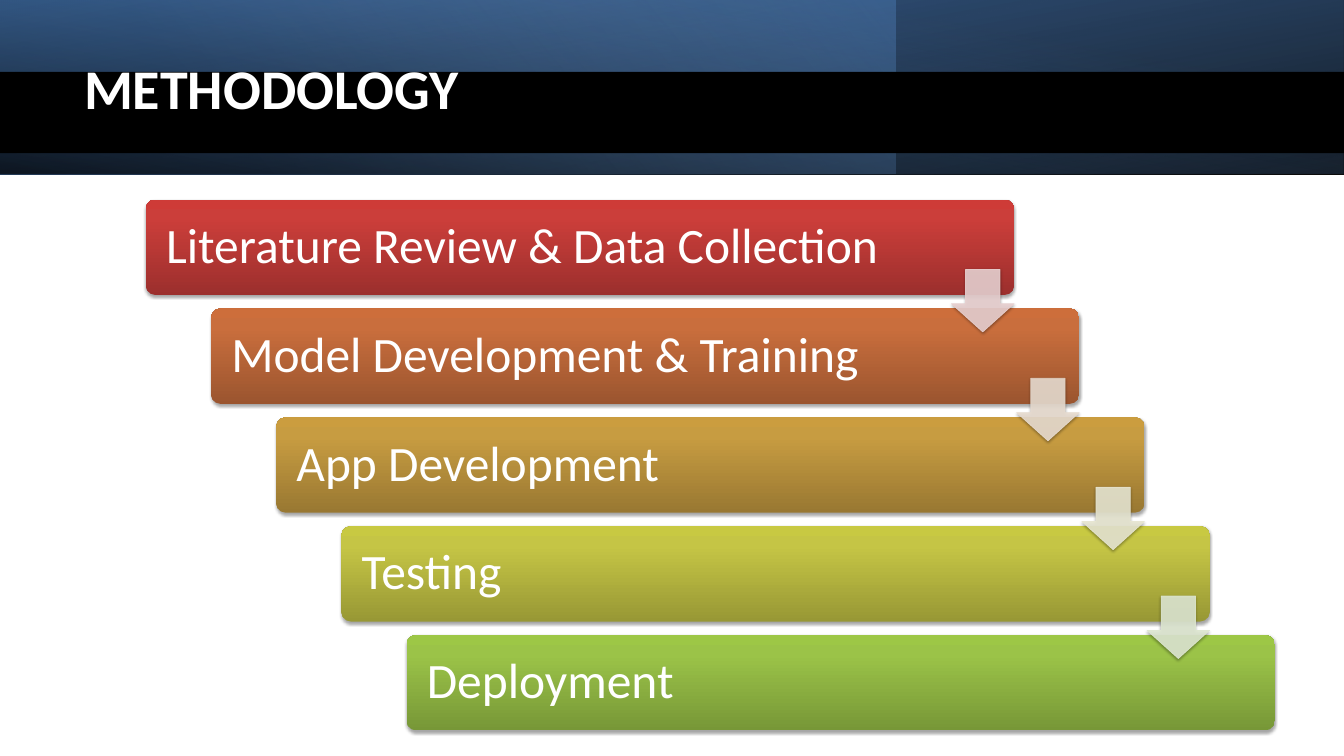
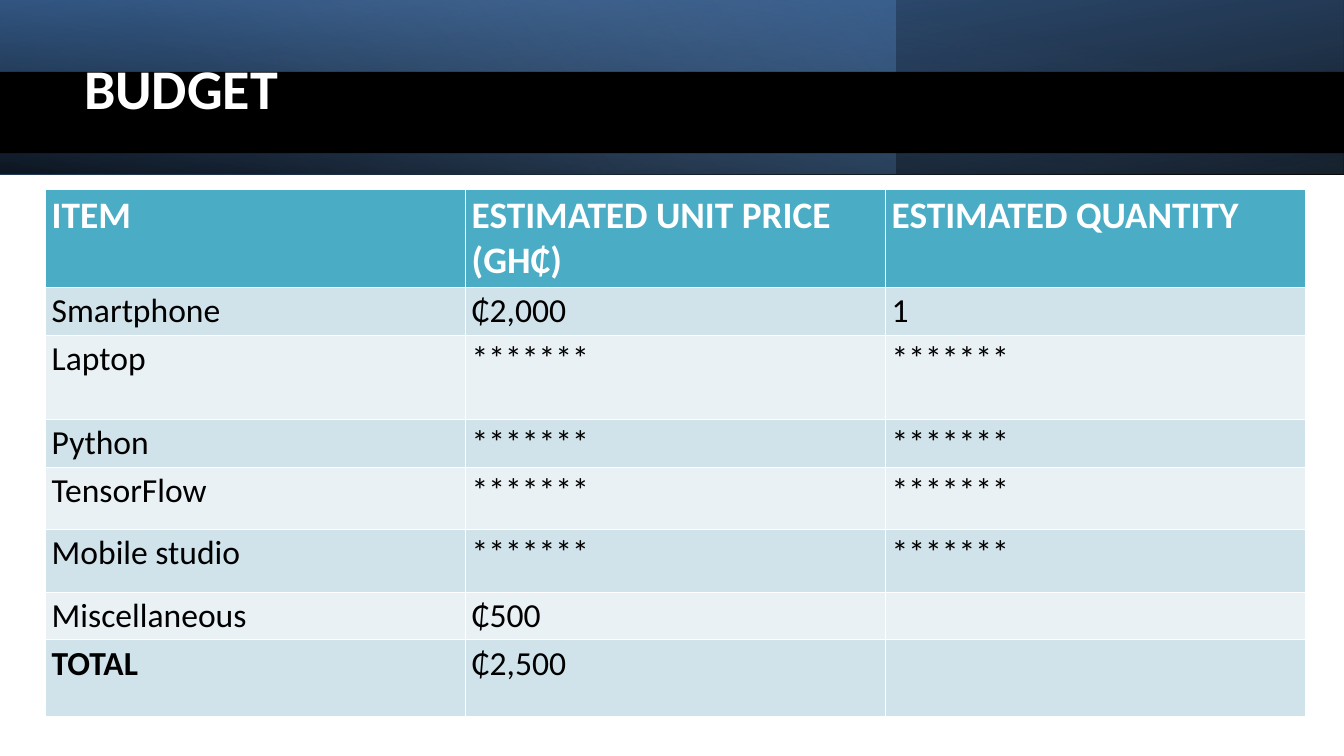
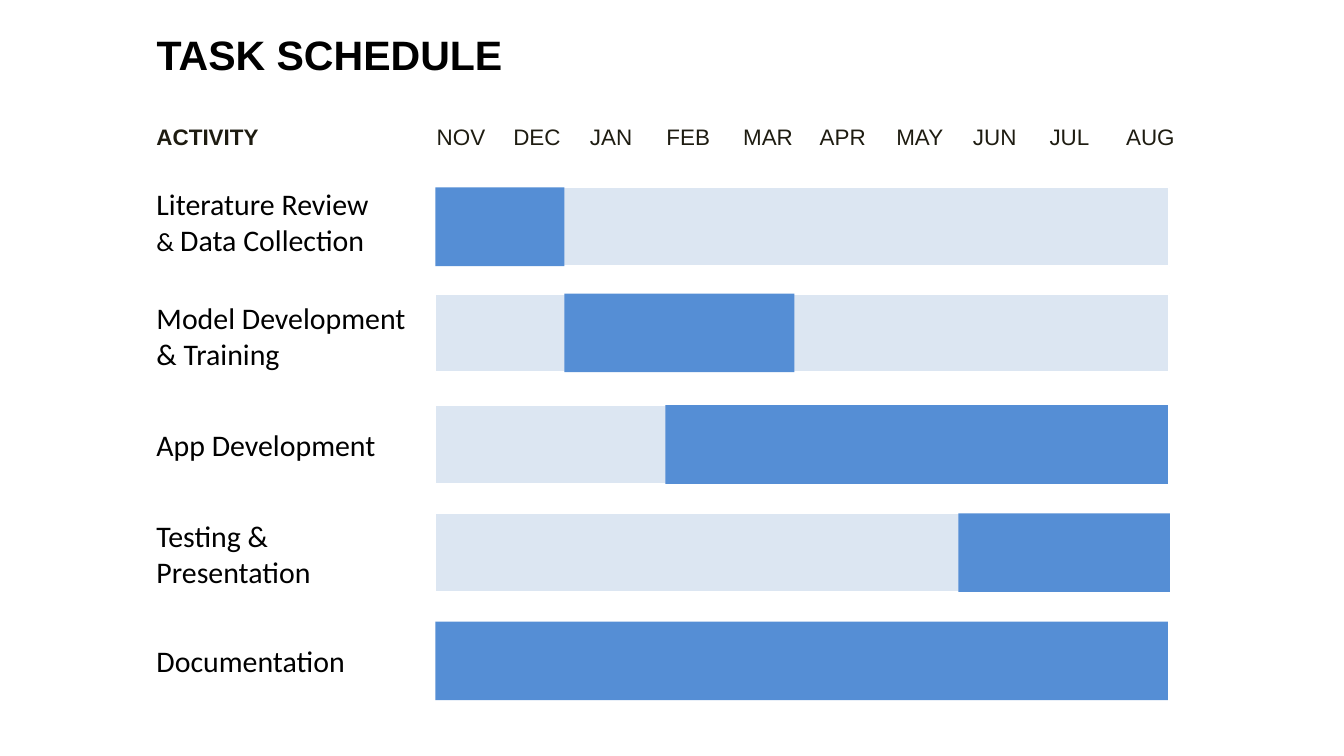
"""Build three project slides: method, budget and task schedule."""
from lxml.etree import SubElement
from pptx import Presentation
from pptx.dml.color import RGBColor as RGB
from pptx.enum.shapes import MSO_SHAPE as Kind
from pptx.enum.text import MSO_ANCHOR as Anchor, PP_ALIGN as Align
from pptx.oxml.ns import qn
from pptx.util import Inches, Pt

WHITE = RGB(0xFF, 0xFF, 0xFF)
BLACK = RGB(0, 0, 0)
INK = RGB(0x1E, 0x1C, 0x11)
NAVY = RGB(0x37, 0x60, 0x92)
BLUE = RGB(0x4F, 0x81, 0xBD)
SKY = RGB(0x95, 0xB3, 0xD7)
TEAL = RGB(0x4B, 0xAC, 0xC6)
ROWS = RGB(0xD0, 0xE3, 0xEA), RGB(0xE9, 0xF1, 0xF5)
TRACK = RGB(0xDC, 0xE6, 0xF2)
BAR = RGB(0x55, 0x8E, 0xD5)

STEPS = [
    ("Literature Review & Data Collection", "9C2F2D", "CB3E3A", "CE3B37", "E8D0D0"),
    ("Model Development & Training", "9B552F", "C96E3D", "CD6E3B", "E8DCD0"),
    ("App Development", "997832", "C79C41", "CB9D3F", "E7E6D1"),
    ("Testing", "989835", "C5C545", "C8C942", "DEE7D1"),
    ("Deployment", "779737", "9BC348", "9DC746", None),
]
STARS = "*******"
COSTS = [
    ("ITEM", "ESTIMATED UNIT PRICE (GH₵)", "ESTIMATED QUANTITY"),
    ("Smartphone", "₵2,000", "1"),
    ("Laptop", STARS, STARS),
    ("Python", STARS, STARS),
    ("TensorFlow", STARS, STARS),
    ("Mobile studio", STARS, STARS),
    ("Miscellaneous", "₵500", ""),
    ("TOTAL", "₵2,500", ""),
]
HEIGHTS = [1.37, 0.67, 1.25, 0.67, 0.93, 0.93, 0.67, 1.14]
MONTHS = "NOV DEC JAN FEB MAR APR MAY JUN JUL AUG".split()
TASKS = [
    (["Literature Review ", "& ", "Data Collection"], 2.71, 3.5, 2.79, 6.48, 1.92),
    (["Model Development & Training"], 4.41, 4.02, 4.37, 8.4, 3.42),
    (["App Development"], 6.3, 3.77, 6.03, 9.9, 7.48),
    (["Testing & Presentation"], 7.65, 3.5, 7.64, 14.26, 3.15),
    (["Documentation"], 9.51, 3.5, 9.25, 6.48, 10.9),
]


class Deck:
    """Hold the style and the current slide."""

    def __init__(self):
        self.file = Presentation()
        self.file.slide_width = Inches(20)
        self.file.slide_height = Inches(11.25)

    def page(self):
        self.slide = self.file.slides.add_slide(self.file.slide_layouts[5])
        self.shapes = self.slide.shapes

    def style(self, para, size, color, bold=False, font="Calibri"):
        for run in para.runs:
            run.font.name = font
            run.font.size = Pt(size)
            run.font.bold = bold
            run.font.color.rgb = color

    def title(self, text, spot, size, color, font="Calibri"):
        box = self.shapes.title
        box.left, box.top, box.width, box.height = map(Inches, spot)
        frame = box.text_frame
        frame.text = text
        frame.vertical_anchor = Anchor.MIDDLE
        para = frame.paragraphs[0]
        para.alignment = Align.LEFT
        para.line_spacing = 0.9
        self.style(para, size, color, True, font)
        self.shapes._spTree.append(box._element)

    def shape(self, kind, spot, fill=None, line=None):
        item = self.shapes.add_shape(kind, *map(Inches, spot))
        item.shadow.inherit = False
        if fill is None:
            item.fill.background()
        else:
            item.fill.solid()
            item.fill.fore_color.rgb = fill
        if line is None:
            item.line.fill.background()
        else:
            item.line.color.rgb = line
        return item

    def blend(self, item, angle, stops):
        item.fill.gradient()
        grad = item._element.spPr.find(qn("a:gradFill"))
        for child in list(grad):
            grad.remove(child)
        grad.set("rotWithShape", "1")
        group = SubElement(grad, qn("a:gsLst"))
        for place, color, alpha in stops:
            stop = SubElement(group, qn("a:gs"), pos=str(place * 1000))
            tint = SubElement(stop, qn("a:srgbClr"), val=str(color))
            SubElement(tint, qn("a:alpha"), val=str(alpha * 1000))
        SubElement(grad, qn("a:lin"), ang=str(angle * 60000), scaled="0")

    def shade(self, item):
        group = item._element.spPr.find(qn("a:effectLst"))
        drop = SubElement(group, qn("a:outerShdw"), blurRad=str(Pt(3.1)),
                          dist=str(Pt(1.8)), dir="5400000", rotWithShape="0")
        tint = SubElement(drop, qn("a:srgbClr"), val=str(BLACK))
        SubElement(tint, qn("a:alpha"), val="35000")

    def banner(self, text):
        bands = [
            (20, 2.59, 100, [(0, BLACK, 96), (100, NAVY, 100)], 180, True),
            (13.33, 2.58, 140, [(0, BLUE, 41), (74, SKY, 0)], 0, False),
            (20, 2.58, 260, [(0, BLACK, 63), (78, BLUE, 15)], 0, True),
        ]
        for width, height, angle, stops, turn, flip in bands:
            band = self.shape(Kind.RECTANGLE, (0, 0, width, height))
            self.blend(band, angle, stops)
            band.rotation = turn
            if flip:
                band._element.spPr.find(qn("a:xfrm")).set("flipH", "1")
        self.shape(Kind.RECTANGLE, (0, 1.07, 20, 1.21), BLACK)
        self.title(text, (1.15, 0.41, 11.59, 1.9), 60, WHITE)

    def step(self, text, spot, colors):
        box = self.shape(Kind.ROUNDED_RECTANGLE, spot)
        box.adjustments[0] = 0.1
        stops = zip((0, 80, 100), colors, (100, 100, 100))
        self.blend(box, 270, stops)
        self.shade(box)
        frame = box.text_frame
        frame.text = text
        frame.margin_left = frame.margin_right = Inches(0.26)
        frame.vertical_anchor = Anchor.MIDDLE
        para = frame.paragraphs[0]
        para.alignment = Align.LEFT
        para.line_spacing = 0.9
        self.style(para, 53, WHITE)

    def arrow(self, spot, color):
        item = self.shape(Kind.DOWN_ARROW, spot, color, color)
        item.line.width = Pt(0.75)
        item.adjustments[0] = 0.55
        item.adjustments[1] = 0.45
        for tint in item._element.spPr.iter(qn("a:srgbClr")):
            SubElement(tint, qn("a:alpha"), val="90000")
        self.shade(item)

    def table(self, spot, rows, heights):
        grid = self.shapes.add_table(len(rows), len(rows[0]), *map(Inches, spot)).table
        for r, row in enumerate(rows):
            grid.rows[r].height = Inches(heights[r])
            head = r == 0
            for c, text in enumerate(row):
                cell = grid.cell(r, c)
                cell.text = text
                cell.fill.solid()
                cell.fill.fore_color.rgb = TEAL if head else ROWS[(r - 1) % 2]
                self.style(cell.text_frame.paragraphs[0], 40 if head else 36,
                           WHITE if head else BLACK, head or text == "TOTAL")

    def label(self, parts, spot, size, color, bold=False, font="Calibri"):
        frame = self.shapes.add_textbox(*map(Inches, spot)).text_frame
        frame.word_wrap = True
        para = frame.paragraphs[0]
        for part in parts:
            para.add_run().text = part
        self.style(para, size, color, bold, font)
        return para

    def months(self, names, spot, gap):
        para = self.label(["\t".join(names)], spot, 24, INK, font="Arial")
        tabs = SubElement(para._p.get_or_add_pPr(), qn("a:tabLst"))
        for n in range(1, len(names)):
            SubElement(tabs, qn("a:tab"), pos=str(Inches(gap * n)), algn="l")

    def task(self, parts, top, width, row, left, span):
        track = self.shape(Kind.RECTANGLE, (6.48, row, 10.92, 1.17), TRACK, WHITE)
        track.line.width = Pt(2)
        self.shape(Kind.RECTANGLE, (left, row, span, 1.17), BAR)
        para = self.label(parts, (2.23, top, width, 1.18), 32, BLACK)
        for run in para.runs:
            if run.text == "& ":
                run.font.size = Pt(28)


def main():
    deck = Deck()

    deck.page()
    deck.banner("METHODOLOGY")
    for n, (text, *colors, _) in enumerate(STEPS):
        deck.step(text, (2.17 + 0.97 * n, 2.97 + 1.62 * n, 12.92, 1.42), colors)
    for n, (*_, tint) in enumerate(STEPS[:-1]):
        spot = (14.16 + 0.97 * n, 4.01 + 1.62 * n, 0.93, 0.93)
        deck.arrow(spot, RGB.from_string(tint))

    deck.page()
    deck.banner("BUDGET")
    deck.table((0.67, 2.82, 18.75, 7.93), COSTS, HEIGHTS)

    deck.page()
    deck.title("TASK SCHEDULE", (2.23, 0.43, 5.6, 0.84), 44, BLACK, "Arial")
    deck.label(["ACTIVITY"], (2.23, 1.79, 1.92, 0.5), 24, INK, True, "Arial")
    deck.months(MONTHS, (6.4, 1.79, 11.5, 0.5), 1.14)
    for task in TASKS:
        deck.task(*task)

    deck.file.save("out.pptx")


if __name__ == "__main__":
    main()
